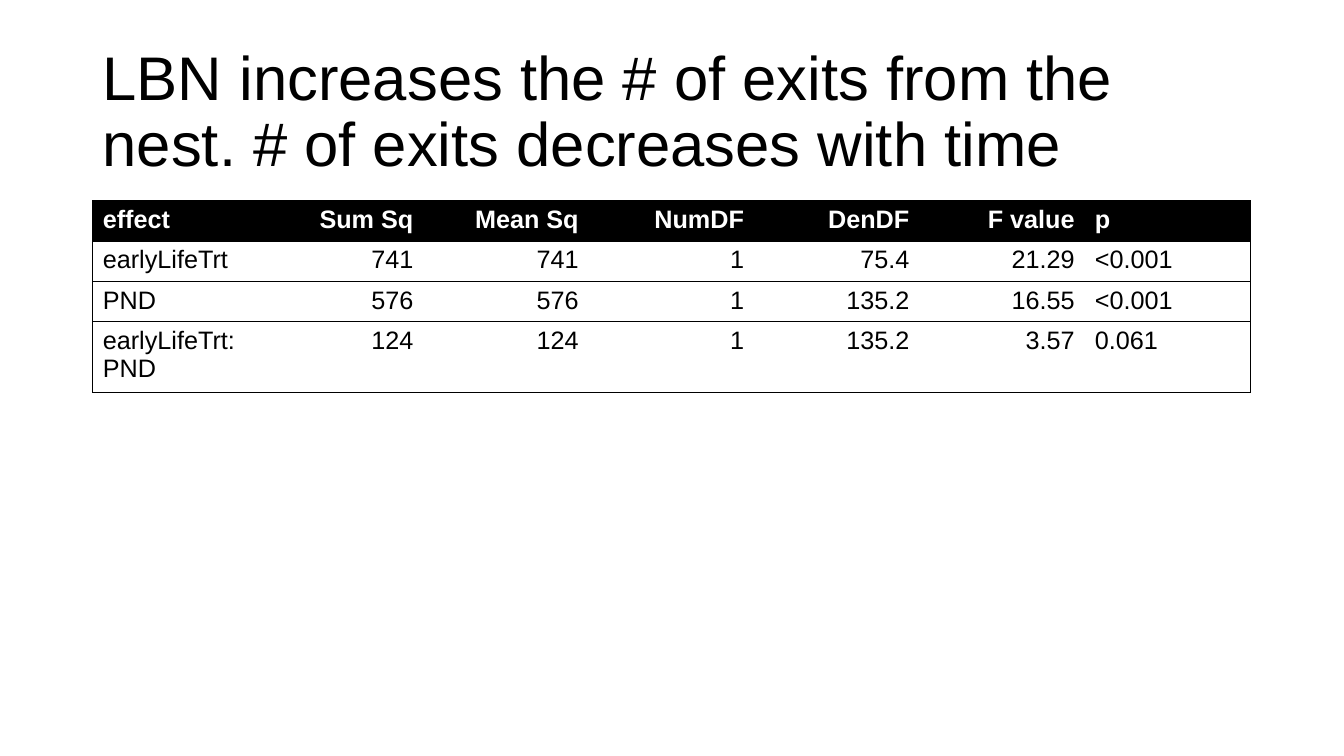
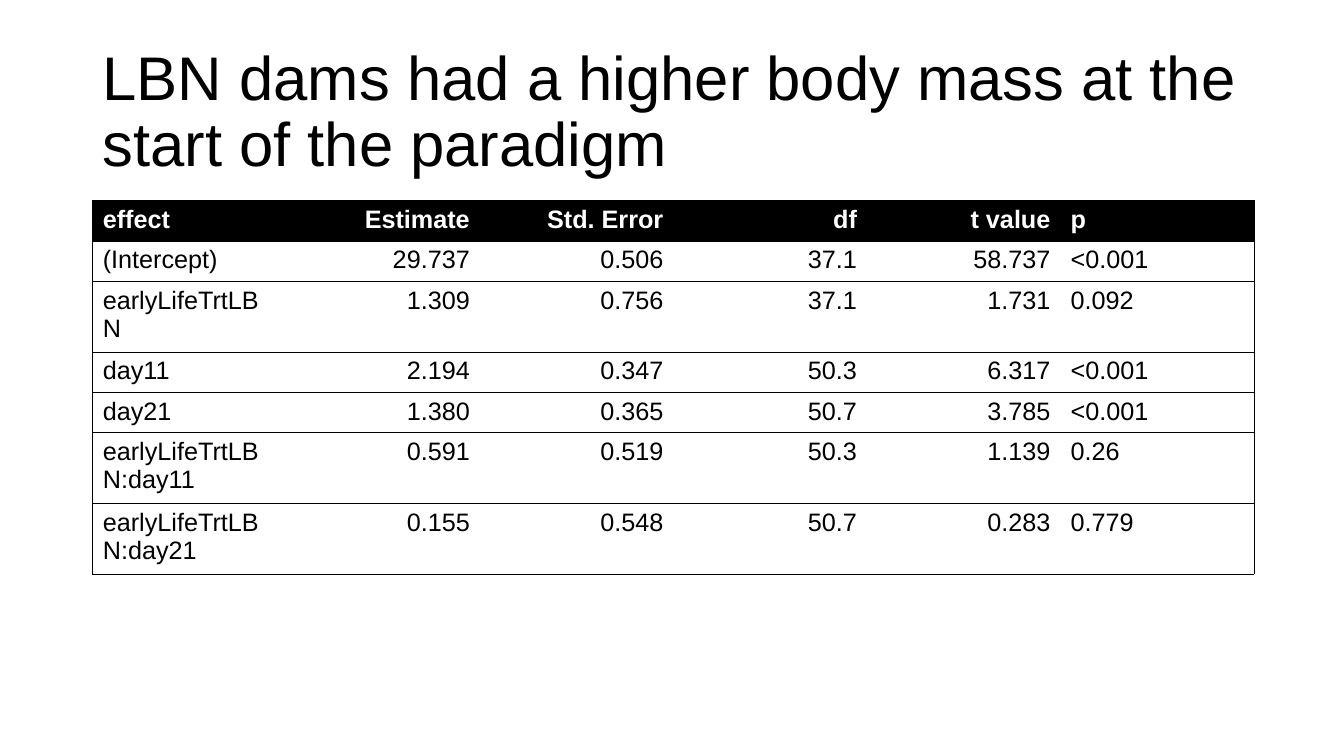
from lxml import etree
from pptx import Presentation
from pptx import util as u
from pptx.dml.color import RGBColor
from pptx.enum import text
from pptx.oxml.ns import qn

BLACK = RGBColor(0, 0, 0)
WHITE = RGBColor(255, 255, 255)
FONT = "Arial"
SLIDE_W, SLIDE_H = 13.33, 7.5
LEFT, CONTENT_W = 0.92, 11.5
TITLE_TOP, TITLE_H = 0.4, 1.45
TABLE_TOP, ROW_H = 1.99, 0.38
RULE_PT = 0.5
PLAIN_STYLE = "{2D5ABB26-0587-4C30-8999-92F81FD0307C}"

EXITS = [
    ("effect", "Sum Sq", "Mean Sq", "NumDF", "DenDF", "F value", "p"),
    ("earlyLifeTrt", "741", "741", "1", "75.4", "21.29", "<0.001"),
    ("PND", "576", "576", "1", "135.2", "16.55", "<0.001"),
    ("earlyLifeTrt:PND", "124", "124", "1", "135.2", "3.57", "0.061"),
]
BODY_MASS = [
    ("effect", "Estimate", "Std. Error", "df", "t value", "p"),
    ("(Intercept)", "29.737", "0.506", "37.1", "58.737", "<0.001"),
    ("earlyLifeTrtLBN", "1.309", "0.756", "37.1", "1.731", "0.092"),
    ("day11", "2.194", "0.347", "50.3", "6.317", "<0.001"),
    ("day21", "1.380", "0.365", "50.7", "3.785", "<0.001"),
    ("earlyLifeTrtLBN:day11", "0.591", "0.519", "50.3", "1.139", "0.26"),
    ("earlyLifeTrtLBN:day21", "0.155", "0.548", "50.7", "0.283", "0.779"),
]
SLIDES = [
    ("LBN increases the # of exits from the nest. # of exits decreases with time", EXITS),
    ("LBN dams had a higher body mass at the start of the paradigm", BODY_MASS),
]


def set_font(p, size, color, bold=False):
    p.font.name = FONT
    p.font.size = u.Pt(size)
    p.font.bold = bold
    p.font.color.rgb = color


def add_title(s, title):
    sp = s.shapes.add_textbox(*map(u.Inches, (LEFT, TITLE_TOP, CONTENT_W, TITLE_H)))
    tf = sp.text_frame
    tf.word_wrap = True
    tf.vertical_anchor = text.MSO_ANCHOR.MIDDLE
    p = tf.paragraphs[0]
    p.text = title
    p.line_spacing = 0.9
    set_font(p, 44, BLACK)


def add_borders(cell, sides):
    tc_pr = cell._tc.get_or_add_tcPr()
    for side in sides:
        ln = etree.SubElement(tc_pr, qn(f"a:ln{side}"), w=str(u.Pt(RULE_PT)))
        fill = etree.SubElement(ln, qn("a:solidFill"))
        etree.SubElement(fill, qn("a:srgbClr"), val=str(BLACK))


def fill_cell(cell, value, header, first, last):
    add_borders(cell, "L" * first + "R" * last + "TB")
    cell.fill.solid()
    cell.fill.fore_color.rgb = BLACK if header else WHITE
    p = cell.text_frame.paragraphs[0]
    p.text = value
    p.alignment = text.PP_ALIGN.LEFT if first or last else text.PP_ALIGN.RIGHT
    set_font(p, 18, WHITE if header else BLACK, header)


def add_results(s, rows):
    n = len(rows[0])
    col_w = round(CONTENT_W / n, 2)
    box = map(u.Inches, (LEFT, TABLE_TOP, col_w * n, ROW_H * len(rows)))
    table = s.shapes.add_table(len(rows), n, *box).table
    table.horz_banding = False
    table._tbl.tblPr.find(qn("a:tableStyleId")).text = PLAIN_STYLE
    for col in table.columns:
        col.width = u.Inches(col_w)
    for i, row in enumerate(rows):
        table.rows[i].height = u.Inches(ROW_H)
        for j, value in enumerate(row):
            fill_cell(table.cell(i, j), value, i == 0, j == 0, j == n - 1)


def main():
    prs = Presentation()
    prs.slide_width, prs.slide_height = u.Inches(SLIDE_W), u.Inches(SLIDE_H)
    for title, rows in SLIDES:
        s = prs.slides.add_slide(prs.slide_layouts[6])
        add_title(s, title)
        add_results(s, rows)
    prs.save("out.pptx")


if __name__ == "__main__":
    main()
